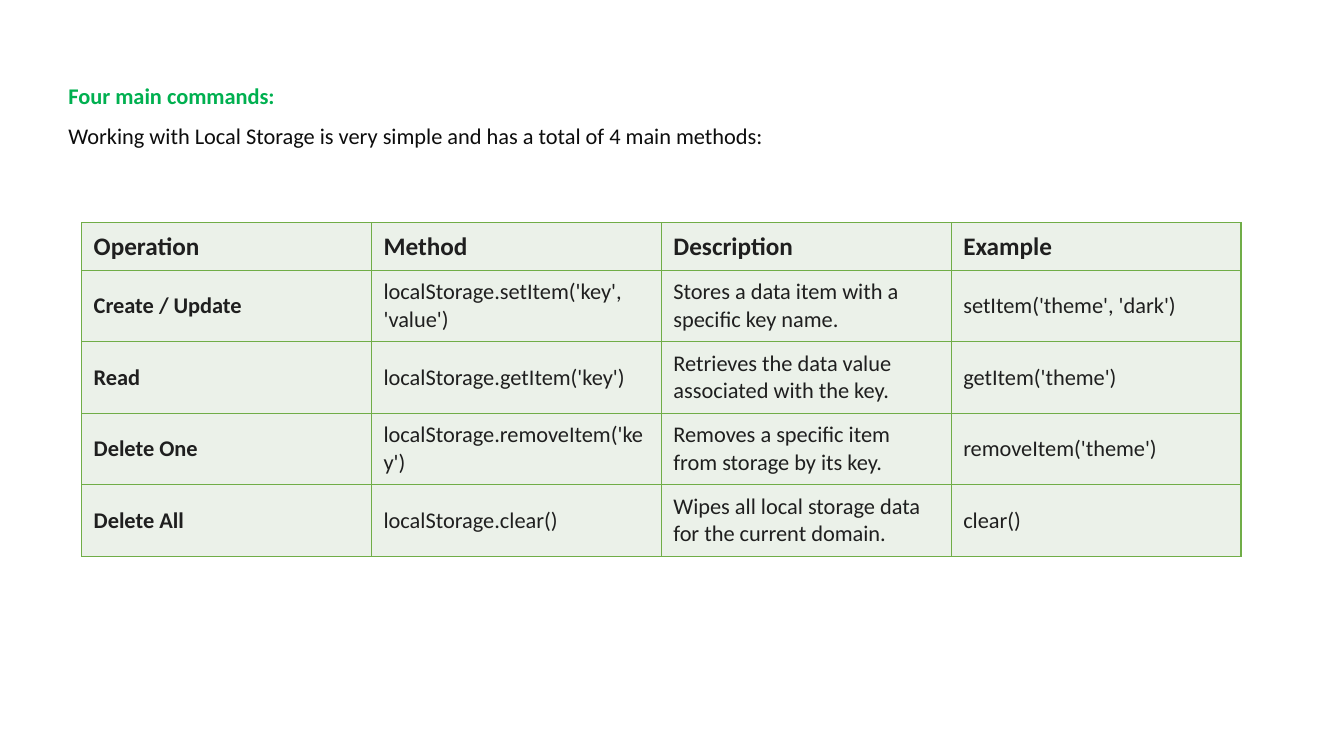
from lxml.etree import SubElement
from pptx import Presentation
from pptx.dml.color import RGBColor
from pptx.enum.text import MSO_ANCHOR
from pptx.oxml.ns import qn
from pptx.util import Inches, Pt

FONT = "Calibri"
GREEN, BLACK, INK = "00B050", "0D0D0D", "1F1F1F"
CELL_FILL, BORDER = "EBF1E9", "70AD47"

INTRO = [
    ("Four main commands:", GREEN, True),
    ("Working with Local Storage is very simple and has a total of 4 main methods:", BLACK, False),
]
COMMANDS = [
    ("Operation", "Method", "Description", "Example"),
    ("Create / Update", "localStorage.setItem('key', 'value')",
     "Stores a data item with a specific key name.", "setItem('theme', 'dark')"),
    ("Read", "localStorage.getItem('key')",
     "Retrieves the data value associated with the key.", "getItem('theme')"),
    ("Delete One", "localStorage.removeItem('key')",
     "Removes a specific item from storage by its key.", "removeItem('theme')"),
    ("Delete All", "localStorage.clear()",
     "Wipes all local storage data for the current domain.", "clear()"),
]
TABLE_LEFT, TABLE_TOP, TABLE_WIDTH = 0.81, 2.21, 11.5
HEADER_HEIGHT, ROW_HEIGHT = 0.47, 0.71


def rgb(color):
    return RGBColor.from_string(color)


def style(p, size, color, bold):
    p.font.name = FONT
    p.font.size = Pt(size)
    p.font.bold = bold
    p.font.color.rgb = rgb(color)


def add_borders(cell):
    """Draw a 1 pt line on all four sides; call before setting the fill."""
    tcPr = cell._tc.get_or_add_tcPr()
    for side in ("a:lnL", "a:lnR", "a:lnT", "a:lnB"):
        ln = SubElement(tcPr, qn(side), w=str(Pt(1)))
        fill = SubElement(ln, qn("a:solidFill"))
        SubElement(fill, qn("a:srgbClr"), val=BORDER)


def add_intro(slide):
    box = slide.shapes.add_textbox(Inches(0.58), Inches(0.63), Inches(11.61), Inches(1.27))
    tf = box.text_frame
    tf.word_wrap = True
    for i, (text, color, bold) in enumerate(INTRO):
        p = tf.add_paragraph() if i else tf.paragraphs[0]
        p.text = text
        p.line_spacing = 1.5
        style(p, 16, color, bold)


def add_commands(slide):
    n_rows, n_cols = len(COMMANDS), len(COMMANDS[0])
    height = HEADER_HEIGHT + ROW_HEIGHT * (n_rows - 1)
    table = slide.shapes.add_table(
        n_rows, n_cols, Inches(TABLE_LEFT), Inches(TABLE_TOP),
        Inches(TABLE_WIDTH), Inches(height)).table
    table.horz_banding = False
    for r, texts in enumerate(COMMANDS):
        header = r == 0
        table.rows[r].height = Inches(HEADER_HEIGHT if header else ROW_HEIGHT)
        for c, text in enumerate(texts):
            cell = table.cell(r, c)
            cell.text = text
            cell.vertical_anchor = MSO_ANCHOR.MIDDLE
            cell.margin_left = cell.margin_right = Inches(0.12)
            cell.margin_top = cell.margin_bottom = Inches(0.08)
            add_borders(cell)
            cell.fill.solid()
            cell.fill.fore_color.rgb = rgb(CELL_FILL)
            style(cell.text_frame.paragraphs[0], 18 if header else 16, INK, header or c == 0)


def main():
    prs = Presentation()
    prs.slide_width, prs.slide_height = Inches(13.33), Inches(7.5)
    slide = prs.slides.add_slide(prs.slide_layouts[6])
    add_commands(slide)
    add_intro(slide)
    prs.save("out.pptx")


if __name__ == "__main__":
    main()
